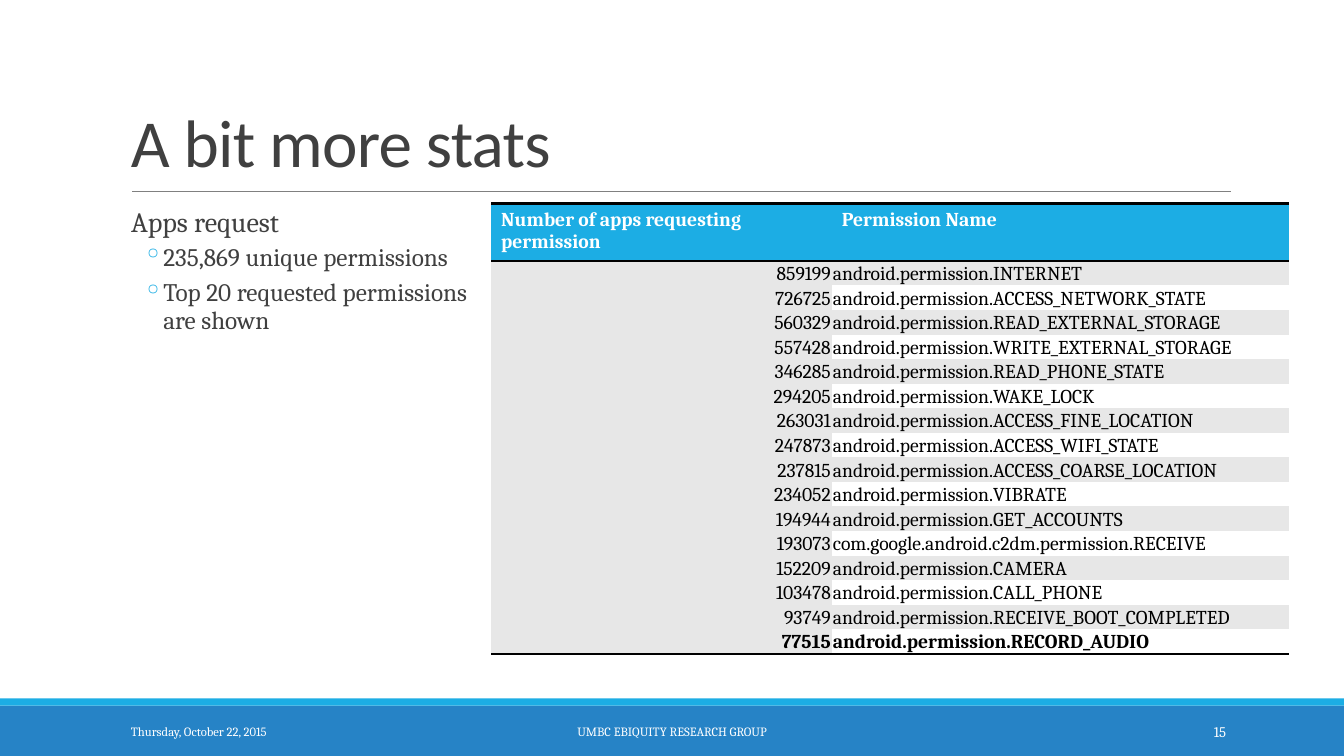
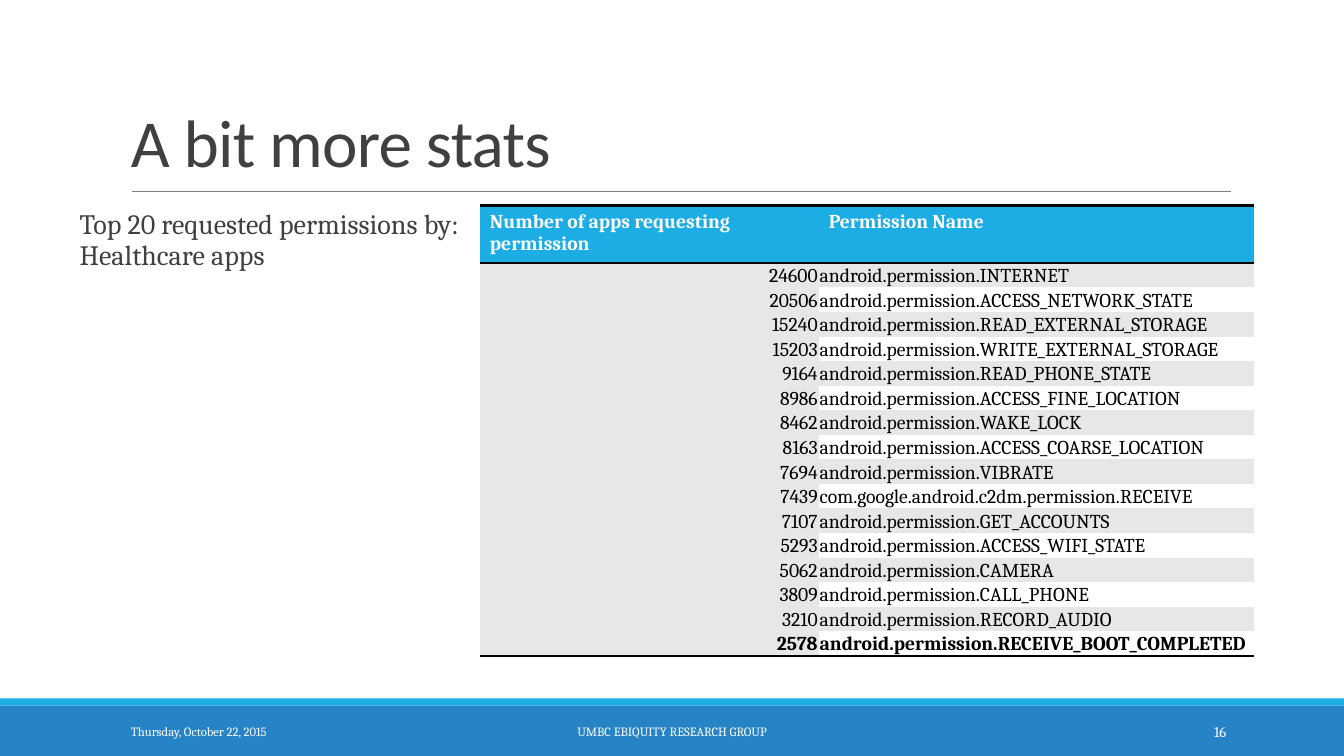
"""Two slides of app permission statistics, each with a ranked table."""
from lxml.etree import SubElement
from pptx import Presentation
from pptx.dml.color import RGBColor
from pptx.enum.shapes import MSO_CONNECTOR, MSO_SHAPE
from pptx.enum.text import MSO_ANCHOR as ANCHOR, PP_ALIGN as ALIGN
from pptx.oxml import parse_xml
from pptx.oxml.ns import nsdecls, qn
from pptx.util import Inches, Pt

CYAN = RGBColor(0x1C, 0xAD, 0xE4)
BLUE = RGBColor(0x26, 0x83, 0xC6)
DARK = RGBColor(0x40, 0x40, 0x40)
RULE = RGBColor(0x80, 0x80, 0x80)
GREY = RGBColor(0xE7, 0xE7, 0xE7)
WHITE = RGBColor(0xFF, 0xFF, 0xFF)
BLACK = RGBColor(0, 0, 0)
HEAD_FONT, BODY_FONT = "Calibri", "Cambria"
PLAIN = "{2D5ABB26-0587-4C30-8999-92F81FD0307C}"

TITLE = "A bit more stats"
DATE = "Thursday, October 22, 2015"
GROUP = "UMBC EBIQUITY RESEARCH GROUP"
HEADS = ("Number of apps requesting permission", "Permission Name")

SLIDES = [
    {
        "page": 15,
        "lead": "Apps request",
        "points": ["235,869 unique permissions", "Top 20 requested permissions are shown"],
        "body": (1.2, 2.02, 3.8, 4.4),
        "grid": (4.87, 2.02),
        "cols": (3.38, 4.53),
        "rows": [
            (859199, "android.permission.INTERNET"),
            (726725, "android.permission.ACCESS_NETWORK_STATE"),
            (560329, "android.permission.READ_EXTERNAL_STORAGE"),
            (557428, "android.permission.WRITE_EXTERNAL_STORAGE"),
            (346285, "android.permission.READ_PHONE_STATE"),
            (294205, "android.permission.WAKE_LOCK"),
            (263031, "android.permission.ACCESS_FINE_LOCATION"),
            (247873, "android.permission.ACCESS_WIFI_STATE"),
            (237815, "android.permission.ACCESS_COARSE_LOCATION"),
            (234052, "android.permission.VIBRATE"),
            (194944, "android.permission.GET_ACCOUNTS"),
            (193073, "com.google.android.c2dm.permission.RECEIVE"),
            (152209, "android.permission.CAMERA"),
            (103478, "android.permission.CALL_PHONE"),
            (93749, "android.permission.RECEIVE_BOOT_COMPLETED"),
            (77515, "android.permission.RECORD_AUDIO"),
        ],
    },
    {
        "page": 16,
        "lead": "Top 20 requested permissions by: Healthcare apps",
        "points": [],
        "body": (0.69, 2.04, 4.07, 2.55),
        "grid": (4.76, 2.04),
        "cols": (3.36, 4.32),
        "rows": [
            (24600, "android.permission.INTERNET"),
            (20506, "android.permission.ACCESS_NETWORK_STATE"),
            (15240, "android.permission.READ_EXTERNAL_STORAGE"),
            (15203, "android.permission.WRITE_EXTERNAL_STORAGE"),
            (9164, "android.permission.READ_PHONE_STATE"),
            (8986, "android.permission.ACCESS_FINE_LOCATION"),
            (8462, "android.permission.WAKE_LOCK"),
            (8163, "android.permission.ACCESS_COARSE_LOCATION"),
            (7694, "android.permission.VIBRATE"),
            (7439, "com.google.android.c2dm.permission.RECEIVE"),
            (7107, "android.permission.GET_ACCOUNTS"),
            (5293, "android.permission.ACCESS_WIFI_STATE"),
            (5062, "android.permission.CAMERA"),
            (3809, "android.permission.CALL_PHONE"),
            (3210, "android.permission.RECORD_AUDIO"),
            (2578, "android.permission.RECEIVE_BOOT_COMPLETED"),
        ],
    },
]


def write(frame, text, size=14, color=BLACK, font=BODY_FONT, bold=False, align=ALIGN.LEFT,
          line=None, before=0, after=0, left=0, hang=0, bullet=None, track=0):
    """Add one formatted paragraph to a text frame."""
    para = frame.paragraphs[0]
    if para.text:
        para = frame.add_paragraph()
    para.alignment = align
    para.line_spacing = line
    para.space_before, para.space_after = Pt(before), Pt(after)
    props = para._p.get_or_add_pPr()
    props.set("marL", str(Inches(left)))
    props.set("indent", str(-Inches(hang)))
    if bullet:
        tint = SubElement(props, qn("a:buClr"))
        SubElement(tint, qn("a:srgbClr"), val=str(CYAN))
        SubElement(props, qn("a:buChar"), char=bullet)
    run = para.add_run()
    run.text = text
    run.font.size, run.font.name, run.font.bold = Pt(size), font, bold
    run.font.color.rgb = color
    if track:
        run._r.get_or_add_rPr().set("spc", str(int(track * 100)))


def box(slide, place, anchor=ANCHOR.TOP, side=0.1):
    """Add an empty wrapping text box and return its frame."""
    frame = slide.shapes.add_textbox(*map(Inches, place)).text_frame
    frame.word_wrap = True
    frame.vertical_anchor = anchor
    frame.margin_left = frame.margin_right = Inches(side)
    return frame


def band(slide, top, height, color):
    """Add a full-width colour band."""
    shape = slide.shapes.add_shape(
        MSO_SHAPE.RECTANGLE, 0, Inches(top), Inches(13.33), Inches(height))
    shape.shadow.inherit = False
    shape.fill.solid()
    shape.fill.fore_color.rgb = color
    shape.line.fill.background()


def frame_up(slide, page):
    """Add the bands, rule, title and footer shared by all slides."""
    band(slide, 7, 0.5, BLUE)
    band(slide, 6.93, 0.07, CYAN)
    rule = slide.shapes.add_connector(
        MSO_CONNECTOR.STRAIGHT, Inches(1.31), Inches(1.9), Inches(12.21), Inches(1.9))
    rule.line.color.rgb = RULE
    rule.line.width = Pt(0.5)
    SubElement(rule._element.spPr, qn("a:effectLst"))
    write(box(slide, (1.2, 0.31, 11, 1.54), ANCHOR.BOTTOM), TITLE, size=48,
          color=DARK, font=HEAD_FONT, line=0.85, track=-0.5)
    for text, left, width, size, align in (
        (DATE, 1.2, 2.7, 9, ALIGN.LEFT),
        (GROUP, 4.03, 5.27, 9, ALIGN.CENTER),
        (str(page), 10.83, 1.43, 10.5, ALIGN.RIGHT),
    ):
        write(box(slide, (left, 7.06, width, 0.4), ANCHOR.MIDDLE), text,
              size=size, color=WHITE, align=align)


def edge(cell, *sides):
    """Draw black borders on the given sides of a cell."""
    props = cell._tc.get_or_add_tcPr()
    for spot, side in enumerate(sides):
        props.insert(spot, parse_xml(
            f'<a:{side} {nsdecls("a")} w="{Pt(2)}"><a:solidFill>'
            f'<a:srgbClr val="{BLACK}"/></a:solidFill></a:{side}>'))


def paint(cell, color):
    """Fill a cell with one colour."""
    cell.fill.solid()
    cell.fill.fore_color.rgb = color


def grid(slide, spot, cols, rows):
    """Add the permission table."""
    high, low = 0.55, 0.23
    size = (sum(cols), high + low * len(rows))
    holder = slide.shapes.add_table(len(rows) + 1, len(cols), *map(Inches, spot + size))
    for style in holder._element.iter(qn("a:tableStyleId")):
        style.text = PLAIN
    table = holder.table
    for col, width in zip(table.columns, cols):
        col.width = Inches(width)
    for num, row in enumerate(table.rows):
        row.height = Inches(low if num else high)
    for cell, text in zip(table.rows[0].cells, HEADS):
        paint(cell, CYAN)
        edge(cell, "lnT", "lnB")
        write(cell.text_frame, text, color=WHITE, bold=True)
    for num, row in enumerate(rows, 1):
        last = num == len(rows)
        for col, value in enumerate(row):
            cell = table.cell(num, col)
            cell.vertical_anchor = ANCHOR.BOTTOM
            cell.margin_left = cell.margin_right = cell.margin_top = Inches(0.01)
            cell.margin_bottom = 0
            paint(cell, WHITE if col and num % 2 == 0 else GREY)
            if last:
                edge(cell, "lnB")
            write(cell.text_frame, str(value), bold=last,
                  align=ALIGN.LEFT if col else ALIGN.RIGHT)


def main():
    """Build and save the deck."""
    deck = Presentation()
    deck.slide_width, deck.slide_height = Inches(13.33), Inches(7.5)
    for item in SLIDES:
        slide = deck.slides.add_slide(deck.slide_layouts[6])
        frame_up(slide, item["page"])
        body = box(slide, item["body"], side=0)
        write(body, item["lead"], size=20, color=DARK, line=0.9, after=2, left=0.1)
        for point in item["points"]:
            write(body, point, size=18, color=DARK, line=0.9, before=2, after=4,
                  left=0.42, hang=0.2, bullet="◦")
        grid(slide, item["grid"], item["cols"], item["rows"])
    deck.save("out.pptx")


if __name__ == "__main__":
    main()
